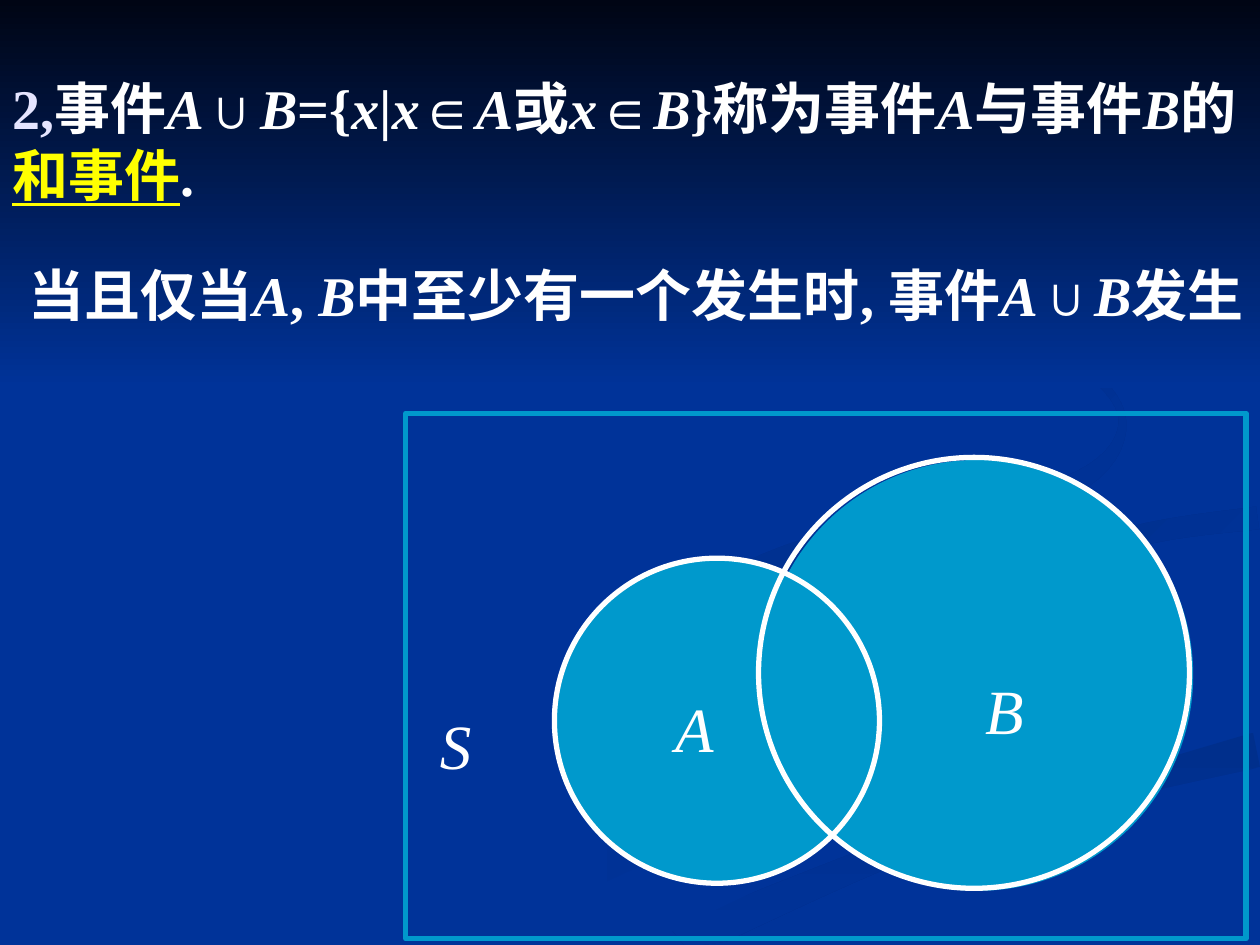
from dataclasses import dataclass
from math import hypot

from pptx import Presentation
from pptx import util as u
from pptx.dml.color import RGBColor as Rgb
from pptx.enum import shapes, text


@dataclass(frozen=True)
class Theme:
    face: str = "Times New Roman"
    back: str = "003399"
    night: str = "000514"
    dusk: str = "003193"
    deep: str = "002F8C"
    aqua: str = "0099CC"
    white: str = "FFFFFF"
    pale: str = "E5E5FF"
    gold: str = "FFFF00"
    body: int = 32
    label: int = 36
    line: int = 3


@dataclass(frozen=True)
class Ribbon:
    first: str
    last: str
    angle: int
    knots: tuple


LOOK = Theme()
WIDE, HIGH = 10, 7.5
STEPS = 8

STREAM = Ribbon(LOOK.back, LOOK.dusk, 0, (
    (5.72, 4.64, 0.02), (6.8, 5.18, 0.06), (7.92, 5.75, 0.15),
    (5.8, 6.45, 0.2), (3.3, 7.49, 0.4)))
BEND = Ribbon(LOOK.back, LOOK.dusk, 45, (
    (7.24, 4.64, 0), (8.3, 5.27, 0.12), (9.3, 5.75, 0.24), (8.94, 6.05, 0)))
WAVE = Ribbon(LOOK.deep, LOOK.back, 90, (
    (9.98, 5.95, 0.28), (8.6, 6.31, 0.19), (7.2, 6.72, 0.2), (5.37, 7.49, 0.3)))
BAND = Ribbon(LOOK.back, LOOK.back, 0, (
    (9.98, 3.95, 0.15), (8.7, 4.15, 0.14), (7.55, 4.6, 0.4), (8.4, 5.08, 0.22),
    (9.6, 5.55, 0.36), (8.6, 6.17, 0.08), (6.8, 6.68, 0.08), (4.9, 7.49, 0.2)))
INLET = Ribbon(LOOK.deep, LOOK.back, 45, (
    (9.98, 4.11, 0.18), (9, 4.26, 0.17), (7.93, 4.65, 0.22), (8.26, 4.96, 0)))
CURL = Ribbon(LOOK.deep, LOOK.back, 45, (
    (7.62, 2.33, 0), (8.5, 2.82, 0.07), (8.91, 3.35, 0.06), (8.5, 3.85, 0.16),
    (7.2, 4.14, 0.2), (5.86, 4.6, 0.16), (6.22, 5, 0)))


def tint(hue):
    return Rgb.from_string(hue)


def paint(shape, fill=None, line=None):
    shape.shadow.inherit = False
    if fill:
        shape.fill.solid()
        shape.fill.fore_color.rgb = tint(fill)
    else:
        shape.fill.background()
    if line:
        shape.line.color.rgb = tint(line)
        shape.line.width = u.Pt(LOOK.line)
    else:
        shape.line.fill.background()


def blend(shape, first, last, angle):
    paint(shape)
    shape.fill.gradient()
    shape.fill.gradient_angle = -angle % 360
    for stop, hue in zip(shape.fill.gradient_stops, (first, last)):
        stop.color.rgb = tint(hue)


def curve(a, b, c, d, t):
    return b + t / 2 * (c - a + t * (2 * a - 5 * b + 4 * c - d
                                     + t * (3 * (b - c) + d - a)))


def smooth(knots):
    ring = (knots[0], *knots, knots[-1])
    spine = [tuple(curve(*axis, step / STEPS) for axis in zip(*four))
             for four in zip(ring, ring[1:], ring[2:], ring[3:])
             for step in range(STEPS)]
    return [*spine, knots[-1]]


def banks(spine):
    near, far = [], []
    for spot, (x, y, width) in enumerate(spine):
        ahead = spine[min(spot + 1, len(spine) - 1)]
        behind = spine[max(spot - 1, 0)]
        dx, dy = ahead[0] - behind[0], ahead[1] - behind[1]
        reach = width / 2 / hypot(dx, dy)
        for side, sign in ((near, 1), (far, -1)):
            side.append((min(x - sign * dy * reach, WIDE),
                         min(y + sign * dx * reach, HIGH)))
    return near + far[::-1]


def sweep(slide, ribbon):
    points = [tuple(map(u.Inches, spot)) for spot in banks(smooth(ribbon.knots))]
    pen = slide.shapes.build_freeform(*points[0])
    pen.add_line_segments(points[1:], close=True)
    blend(pen.convert_to_shape(), ribbon.first, ribbon.last, ribbon.angle)


def block(slide, kind, box, **style):
    shape = slide.shapes.add_shape(kind, *map(u.Inches, box))
    paint(shape, **style)
    return shape


def write(slide, box, parts, size, frame=None, align=None, **base):
    area = slide.shapes.add_textbox(*map(u.Inches, box)).text_frame
    for key, value in {"word_wrap": True, **(frame or {})}.items():
        setattr(area, key, value)
    para = area.paragraphs[0]
    para.alignment = align
    for words, hue, under in parts:
        for turn, piece in enumerate(words.split("*")):
            if not piece:
                continue
            run = para.add_run()
            run.text = piece
            form = {"name": LOOK.face, "size": u.Pt(size),
                    "italic": turn % 2 == 1, "underline": under, **base}
            for key, value in form.items():
                setattr(run.font, key, value)
            run.font.color.rgb = tint(hue)


def scene(slide):
    slide.background.fill.solid()
    slide.background.fill.fore_color.rgb = tint(LOOK.back)
    for ribbon in (STREAM, BEND, WAVE, BAND, INLET, CURL):
        sweep(slide, ribbon)
    sky = block(slide, shapes.MSO_SHAPE.RECTANGLE, (0, 0, WIDE, 3.08))
    blend(sky, LOOK.night, LOOK.back, 90)


def venn(slide):
    oval = shapes.MSO_SHAPE.OVAL
    small, large = (2.58, 2.58), (3.42, 3.42)
    for spot, size in (((4.41, 4.43), small), ((6.05, 3.65), large)):
        block(slide, oval, spot + size, fill=LOOK.aqua)
    block(slide, shapes.MSO_SHAPE.RECTANGLE, (3.22, 3.28, 6.67, 4.17),
          line=LOOK.aqua)
    for spot, size in (((6.02, 3.63), large), ((4.4, 4.43), small)):
        block(slide, oval, spot + size, line=LOOK.white)
    for name, left, top, width in (("S", 3.39, 5.56, 0.45),
                                   ("A", 5.26, 5.42, 0.5),
                                   ("B", 7.72, 5.28, 0.5)):
        write(slide, (left, top, width, 0.7),
              [(f"*{name}*", LOOK.white, False)], LOOK.label,
              {"word_wrap": False}, text.PP_ALIGN.CENTER)


def define(slide):
    write(slide, (0, 0, WIDE, 2.76), [
        ("2,", LOOK.pale, False),
        ("事件*A*∪*B*={*x*|*x*∈*A*或*x*∈*B*}称为事件*A*与事件*B*的",
         LOOK.white, False),
        ("和事件", LOOK.gold, True),
        (".", LOOK.white, False),
    ], LOOK.body, {"vertical_anchor": text.MSO_ANCHOR.MIDDLE,
                   "margin_bottom": u.Inches(0.58)}, bold=True)


def explain(slide):
    write(slide, (0.13, 2.02, 9.87, 0.64), [
        ("当且仅当*A*, *B*中至少有一个发生时, 事件*A*∪*B*发生",
         LOOK.white, False),
    ], LOOK.body, bold=True)


def main():
    deck = Presentation()
    deck.slide_width, deck.slide_height = u.Inches(WIDE), u.Inches(HIGH)
    slide = deck.slides.add_slide(deck.slide_layouts[6])
    for part in (scene, define, venn, explain):
        part(slide)
    deck.save("out.pptx")


if __name__ == "__main__":
    main()
